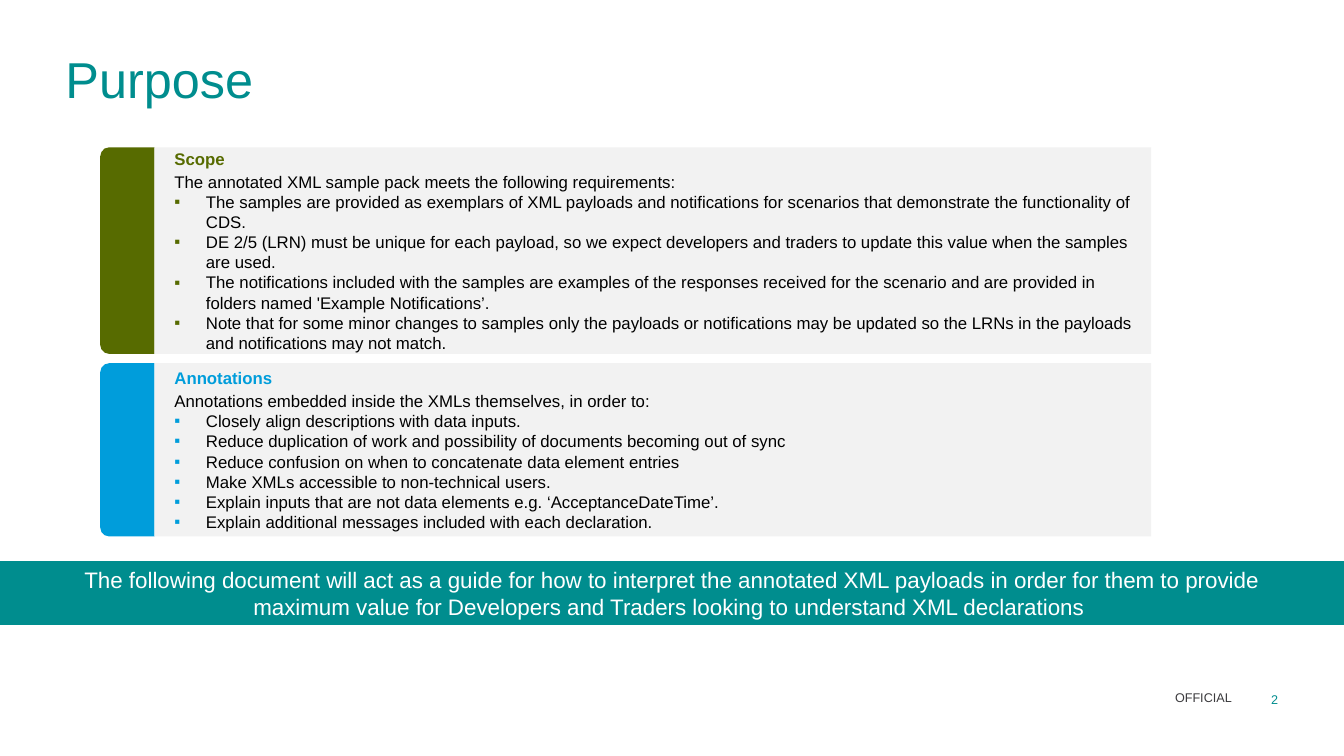
from lxml import etree
from pptx import Presentation, util as u
from pptx.dml.color import RGBColor
from pptx.enum import shapes, text
from pptx.oxml.ns import qn

TEAL, PANEL_GREY, WHITE, BLACK, DARK = "008D8E", "F2F2F2", "FFFFFF", "000000", "3B3A3D"


def colour(code):
    return RGBColor.from_string(code)


def write(frame, content, size=12, color=BLACK, bold=False, align=text.PP_ALIGN.LEFT,
          before=0, after=0, line=None, bullet=None):
    first = frame.paragraphs[0]
    paragraph = frame.add_paragraph() if first.runs else first
    paragraph.alignment = align
    paragraph.space_before, paragraph.space_after = u.Pt(before), u.Pt(after)
    if line:
        paragraph.line_spacing = u.Pt(line)
    run = paragraph.add_run()
    run.text = content
    run.font.name, run.font.size, run.font.bold = "Arial", u.Pt(size), bold
    run.font.color.rgb = colour(color)
    if bullet:
        props = paragraph._p.get_or_add_pPr()
        indent = u.Pt(22.5)
        props.set("marL", str(indent))
        props.set("indent", str(-indent))
        marker = etree.SubElement(props, qn("a:buClr"))
        etree.SubElement(marker, qn("a:srgbClr"), val=bullet)
        etree.SubElement(props, qn("a:buFont"), typeface="Arial")
        etree.SubElement(props, qn("a:buChar"), char="▪")


class SlideBuilder:
    tab_left, tab_width = 71.6, 38.9
    panel_left, panel_width = 110.2, 712

    def __init__(self, slide):
        self.slide = slide

    def frame(self, shape, margins, anchor):
        frame = shape.text_frame
        frame.word_wrap = True
        frame.vertical_anchor = anchor
        (frame.margin_left, frame.margin_top,
         frame.margin_right, frame.margin_bottom) = map(u.Pt, margins)
        return frame

    def block(self, kind, box, fill):
        shape = self.slide.shapes.add_shape(kind, *map(u.Pt, box))
        shape.shadow.inherit = False
        shape.fill.solid()
        shape.fill.fore_color.rgb = colour(fill)
        shape.line.fill.background()
        return shape

    def label(self, box, content, anchor=text.MSO_ANCHOR.TOP, **style):
        shape = self.slide.shapes.add_textbox(*map(u.Pt, box))
        write(self.frame(shape, (0, 0, 0, 0), anchor), content, **style)

    def banner(self, box, content, **style):
        shape = self.block(shapes.MSO_SHAPE.RECTANGLE, box, TEAL)
        frame = self.frame(shape, (60, 3.6, 60, 3.6), text.MSO_ANCHOR.MIDDLE)
        write(frame, content, align=text.PP_ALIGN.CENTER, **style)

    def tab(self, top, height, accent):
        left = self.tab_left + (self.tab_width - height) / 2
        turned_top = top + (height - self.tab_width) / 2
        tab = self.block(shapes.MSO_SHAPE.ROUND_2_SAME_RECTANGLE,
                         (left, turned_top, height, self.tab_width), accent)
        tab.rotation = 270

    def panel(self, top, height, accent, heading, intro, points):
        self.tab(top, height, accent)
        panel = self.block(shapes.MSO_SHAPE.RECTANGLE,
                           (self.panel_left, top, self.panel_width, height), PANEL_GREY)
        frame = self.frame(panel, (14.4, 3.6, 3.6, 3.6), text.MSO_ANCHOR.MIDDLE)
        write(frame, heading, color=accent, bold=True, before=2, after=2)
        write(frame, intro)
        for point in points:
            write(frame, point, bullet=accent)


def main():
    deck = Presentation()
    deck.slide_width, deck.slide_height = u.Pt(960), u.Pt(540)
    purpose = SlideBuilder(deck.slides.add_slide(deck.slide_layouts[6]))

    purpose.banner(
        (0, 400.8, 960, 45.6),
        "The following document will act as a guide for how to interpret the annotated XML "
        "payloads in order for them to provide maximum value for Developers and Traders "
        "looking to understand XML declarations ",
        size=16, color=WHITE)
    purpose.panel(
        105.2, 147.6, "576B00", "Scope",
        "The annotated XML sample pack meets the following requirements:",
        ["The samples are provided as exemplars of XML payloads and notifications for "
         "scenarios that demonstrate the functionality of CDS.",
         "DE 2/5 (LRN) must be unique for each payload, so we expect developers and traders "
         "to update this value when the samples are used.",
         "The notifications included with the samples are examples of the responses received "
         "for the scenario and are provided in folders named 'Example Notifications’.",
         "Note that for some minor changes to samples only the payloads or notifications may "
         "be updated so the LRNs in the payloads and notifications may not match."])
    purpose.panel(
        259.4, 123.8, "009DDB", "Annotations",
        "Annotations embedded inside the XMLs themselves, in order to:",
        ["Closely align descriptions with data inputs.",
         "Reduce duplication of work and possibility of documents becoming out of sync",
         "Reduce confusion on when to concatenate data element entries",
         "Make XMLs accessible to non-technical users.",
         "Explain inputs that are not data elements e.g. ‘AcceptanceDateTime’.",
         "Explain additional messages included with each declaration."])
    purpose.label((46.8, 37.4, 864, 73.4), "Purpose", size=36, color=TEAL, line=40, after=8)
    purpose.label((888.5, 493.9, 24.5, 10.8), "2", size=9, color=TEAL,
                  align=text.PP_ALIGN.RIGHT)
    purpose.label((173.5, 490.3, 706.3, 15.8), "OFFICIAL", text.MSO_ANCHOR.MIDDLE,
                  size=9, color=DARK, align=text.PP_ALIGN.RIGHT)
    deck.save("out.pptx")


if __name__ == "__main__":
    main()
